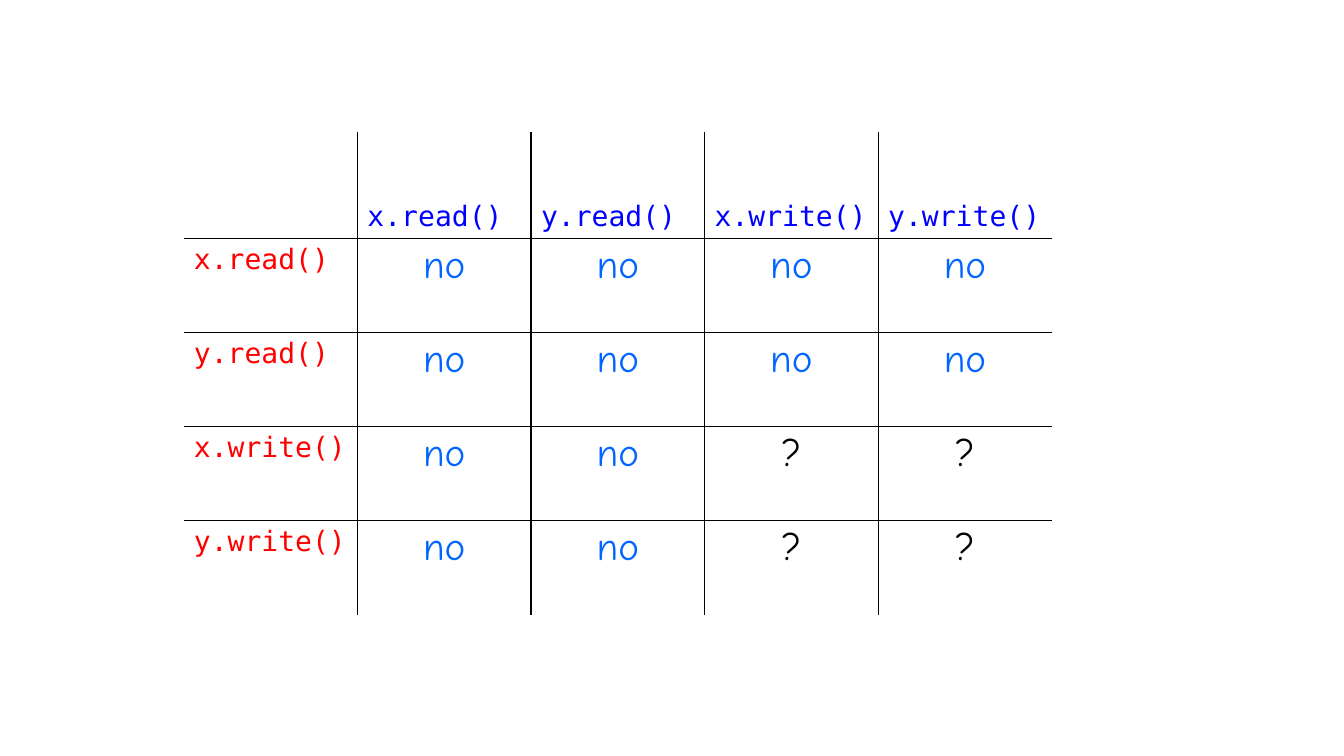
from lxml import etree
from pptx import Presentation
from pptx.dml.color import RGBColor
from pptx.enum.text import MSO_ANCHOR, PP_ALIGN
from pptx.oxml.ns import qn
from pptx.util import Pt

LEFT, CENTER = PP_ALIGN.LEFT, PP_ALIGN.CENTER
TOP, BOTTOM = MSO_ANCHOR.TOP, MSO_ANCHOR.BOTTOM
MONO, HAND = "DejaVu Sans Mono", "Comic Neue"
OPERATIONS = ["x.read()", "y.read()", "x.write()", "y.write()"]
COL_W, HEAD_H, ROW_H = 124, 76, 67.2
N = len(OPERATIONS) + 1


def write(cell, text, size=20, font=MONO, color="000000", align=LEFT, anchor=TOP):
    cell.vertical_anchor = anchor
    p = cell.text_frame.paragraphs[0]
    p.alignment = align
    space = etree.SubElement(p._p.get_or_add_pPr(), qn("a:spcBef"))
    etree.SubElement(space, qn("a:spcPct"), val="20000")
    r = p.add_run()
    r.text = text
    r.font.size = Pt(size)
    r.font.name = font
    r.font.color.rgb = RGBColor.from_string(color)


def border(cell, side, visible):
    ln = etree.SubElement(cell._tc.get_or_add_tcPr(), qn("a:ln" + side), w=str(Pt(1)))
    if visible:
        fill = etree.SubElement(ln, qn("a:solidFill"))
        etree.SubElement(fill, qn("a:srgbClr"), val="000000")
    else:
        etree.SubElement(ln, qn("a:noFill"))


prs = Presentation()
prs.slide_width, prs.slide_height = Pt(960), Pt(540)
s = prs.slides.add_slide(prs.slide_layouts[6])

# Conflict table
table = s.shapes.add_table(N, N, Pt(131.3), Pt(94.3), Pt(N * COL_W),
                           Pt(HEAD_H + (N - 1) * ROW_H)).table
table.first_row = table.horz_banding = False
for col in table.columns:
    col.width = Pt(COL_W)
for i, row in enumerate(table.rows):
    row.height = Pt(ROW_H if i else HEAD_H)

# Inner grid lines only, no fill
for i in range(N):
    for j in range(N):
        cell = table.cell(i, j)
        for side, visible in [("L", j > 0), ("R", j < N - 1),
                              ("T", i > 0), ("B", i < N - 1)]:
            border(cell, side, visible)
        cell.fill.background()

# Column and row headings
for i, operation in enumerate(OPERATIONS, 1):
    write(table.cell(0, i), operation, color="0000FF", anchor=BOTTOM)
    write(table.cell(i, 0), operation, color="FF0000")

# Answers: only two writes are in question
for i, first in enumerate(OPERATIONS, 1):
    for j, second in enumerate(OPERATIONS, 1):
        both_write = "write" in first and "write" in second
        write(table.cell(i, j), "?" if both_write else "no", size=28, font=HAND,
              color="000000" if both_write else "0066FF", align=CENTER)

prs.save("out.pptx")
